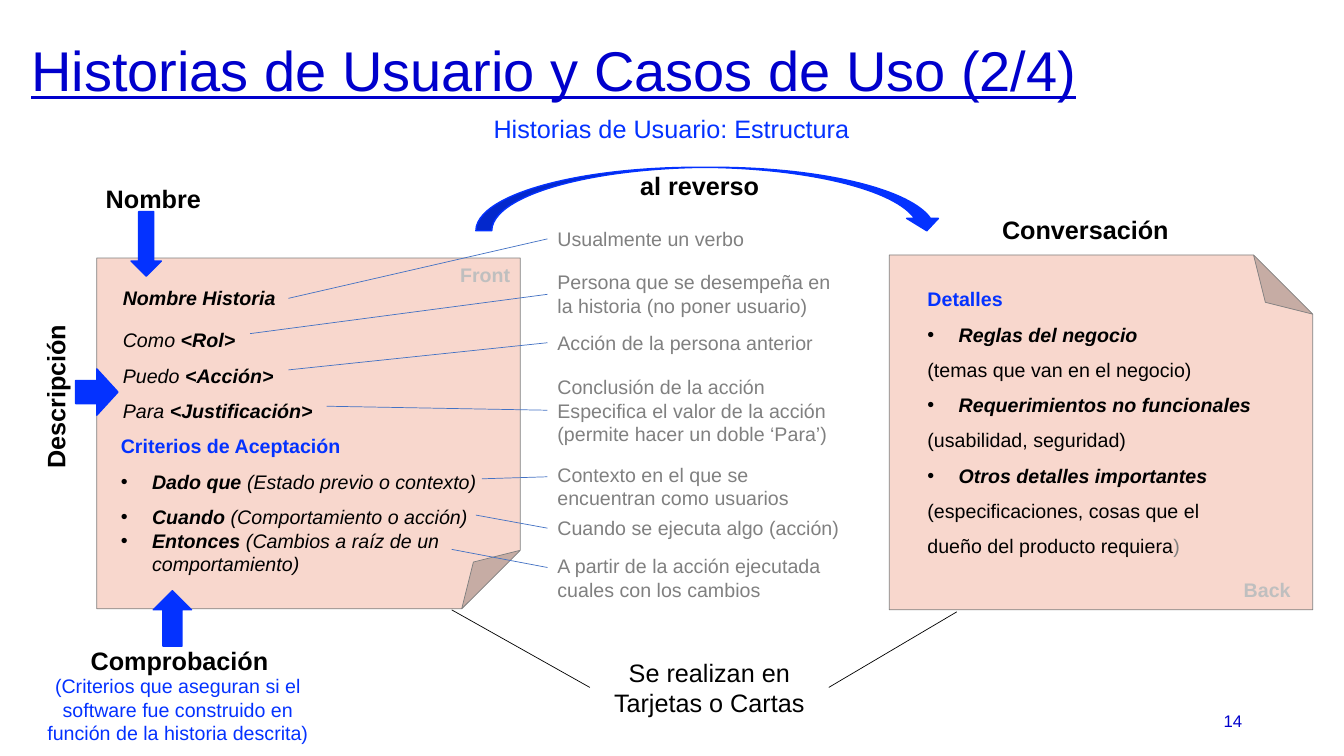
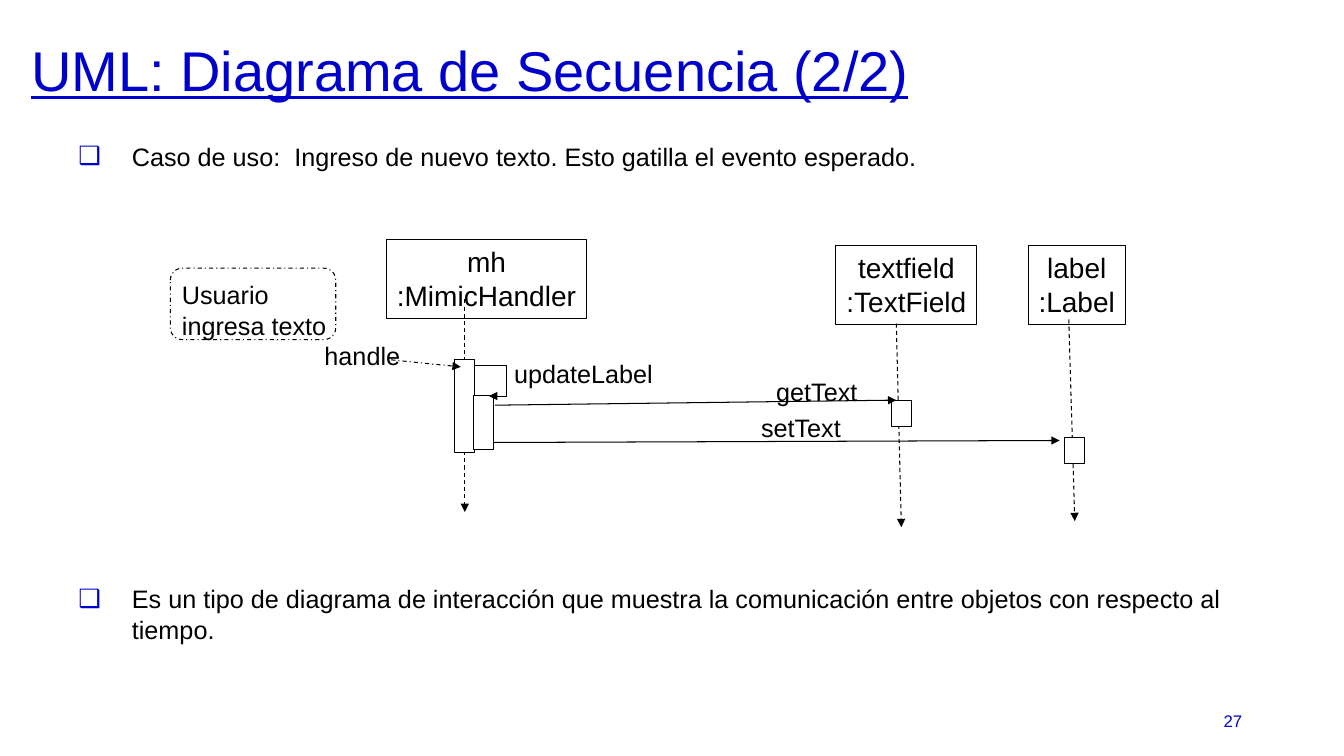
from typing import NamedTuple

from lxml import etree
from pptx import Presentation
from pptx.dml.color import RGBColor
from pptx.enum.dml import MSO_LINE as DASH
from pptx.enum.shapes import MSO_CONNECTOR as CONN, MSO_SHAPE as SHAPE
from pptx.enum.text import MSO_ANCHOR as ANCHOR, MSO_AUTO_SIZE as AUTO, PP_ALIGN as ALIGN
from pptx.oxml.ns import qn
from pptx.util import Inches, Pt

FONT = "Arial"
NAVY = RGBColor(0x00, 0x00, 0xCC)
BLUE = RGBColor(0x04, 0x32, 0xFF)
STEEL = RGBColor(0x44, 0x72, 0xC4)
PEACH = RGBColor(0xF8, 0xD7, 0xCD)
GRAY = RGBColor(0x80, 0x80, 0x80)
SILVER = RGBColor(0xBF, 0xBF, 0xBF)
BLACK = RGBColor(0x00, 0x00, 0x00)
WHITE = RGBColor(0xFF, 0xFF, 0xFF)


class Run(NamedTuple):
    """Text with style flags: b for bold, i for italic."""
    text: str
    flags: str = ""
    color: RGBColor = None


class Para(NamedTuple):
    """Runs of one paragraph with its spacing and bullet."""
    runs: list
    spacing: float = 1.0
    bullet: str = ""
    indent: float = 0.31
    bullet_color: RGBColor = None


class Deck:
    """Shared style and the slide being drawn."""

    def __init__(self):
        self.prs = Presentation()
        self.prs.slide_width = Inches(13.33)
        self.prs.slide_height = Inches(7.5)
        self.slide = None

    def new_slide(self, title, number):
        """Start a slide with its title and number."""
        self.slide = self.prs.slides.add_slide(self.prs.slide_layouts[5])
        s = self.slide.shapes.title
        self.place(s, (0.21, 0.25, 12.92, 0.95))
        self.fill_text(s.text_frame, [Para([Run(title)], 0.9)], 40, NAVY, anchor=ANCHOR.MIDDLE)
        s.text_frame.paragraphs[0].runs[0].font.underline = True
        self.text((9.42, 6.95, 3, 0.4), number, size=12, color=NAVY,
                  align=ALIGN.RIGHT, anchor=ANCHOR.MIDDLE)

    @staticmethod
    def place(s, box):
        """Move and size a shape."""
        s.left, s.top, s.width, s.height = map(Inches, box)

    @staticmethod
    def add_bullet(p, para):
        """Give a paragraph a hanging bullet."""
        pPr = p._p.get_or_add_pPr()
        pPr.set("marL", str(Inches(para.indent)))
        pPr.set("indent", str(-Inches(para.indent)))
        if para.bullet_color is not None:
            clr = etree.SubElement(pPr, qn("a:buClr"))
            etree.SubElement(clr, qn("a:srgbClr")).set("val", str(para.bullet_color))
        etree.SubElement(pPr, qn("a:buFont")).set("typeface", FONT)
        etree.SubElement(pPr, qn("a:buChar")).set("char", para.bullet)

    def fill_text(self, tf, paras, size=18, color=BLACK, flags="", align=ALIGN.LEFT,
                  anchor=ANCHOR.TOP, wrap=True, margins=(0.1, 0.05, 0.1, 0.05)):
        """Fill a text frame run by run."""
        tf.auto_size = AUTO.NONE
        tf.word_wrap = wrap
        tf.vertical_anchor = anchor
        tf.margin_left, tf.margin_top, tf.margin_right, tf.margin_bottom = map(Inches, margins)
        for i, para in enumerate(paras):
            if isinstance(para, str):
                para = Para([Run(para, flags)])
            p = tf.add_paragraph() if i else tf.paragraphs[0]
            if para.bullet:
                self.add_bullet(p, para)
            p.alignment = align
            p.line_spacing = para.spacing
            for run in para.runs:
                r = p.add_run()
                r.text = run.text
                r.font.name = FONT
                r.font.size = Pt(size)
                r.font.bold = "b" in run.flags
                r.font.italic = "i" in run.flags
                r.font.color.rgb = run.color or color

    def text(self, box, *paras, rotation=0, **style):
        """Add a text box."""
        s = self.slide.shapes.add_textbox(*map(Inches, box))
        s.rotation = rotation
        self.fill_text(s.text_frame, paras, **style)

    @staticmethod
    def paint(s, fill, line, width, dash=None):
        """Set fill and outline, without shadow."""
        s.shadow.inherit = False
        if fill is None:
            s.fill.background()
        else:
            s.fill.solid()
            s.fill.fore_color.rgb = fill
        s.line.color.rgb = line
        s.line.width = Pt(width)
        if dash:
            s.line.dash_style = dash

    def shape(self, kind, box, fill=None, line=BLACK, width=0.75, dash=None):
        """Add a preset shape."""
        s = self.slide.shapes.add_shape(kind, *map(Inches, box))
        self.paint(s, fill, line, width, dash)
        return s

    def block_arrow(self, kind, box):
        """Add a solid blue arrow."""
        return self.shape(kind, box, BLUE, BLUE, 1)

    def card(self, box):
        """Add a paper card with a folded corner."""
        return self.shape(SHAPE.FOLDED_CORNER, box, PEACH, GRAY, 0.5)

    @staticmethod
    def arrowhead(s):
        """Put a triangle at the end of a line."""
        etree.SubElement(s.line._get_or_add_ln(), qn("a:tailEnd")).set("type", "triangle")

    def line(self, start, end, color=BLACK, width=0.75, dash=None, arrow=False):
        """Add a straight line or arrow."""
        s = self.slide.shapes.add_connector(CONN.STRAIGHT, *map(Inches, start + end))
        s.line.color.rgb = color
        s.line.width = Pt(width)
        if dash:
            s.line.dash_style = dash
        if arrow:
            self.arrowhead(s)
        etree.SubElement(s._element.spPr, qn("a:effectLst"))

    def path_arrow(self, *points):
        """Add an open outline that ends in an arrowhead."""
        start, *rest = [tuple(map(Inches, point)) for point in points]
        builder = self.slide.shapes.build_freeform(*start)
        builder.add_line_segments(rest, close=False)
        s = builder.convert_to_shape()
        self.paint(s, None, BLACK, 0.75)
        self.arrowhead(s)


def draw_stories(deck):
    """Structure of a user story card."""
    deck.new_slide("Historias de Usuario y Casos de Uso (2/4)", "14")
    deck.text((3.11, 1.09, 7.1, 0.36), "Historias de Usuario: Estructura",
              color=BLUE, align=ALIGN.CENTER, anchor=ANCHOR.MIDDLE)

    deck.card((0.96, 2.56, 4.2, 3.48))
    back = deck.card((8.82, 2.53, 4.2, 3.52))
    back._element.spPr.xfrm.set("flipV", "1")
    for left, top, side in ((4.16, 2.56, "Front"), (11.9, 5.68, "Back")):
        deck.text((left, top, 1, 0.34), side, size=14, color=SILVER, flags="b", align=ALIGN.RIGHT)

    for box, heading in (
        ((0.95, 1.77, 1.42, 0.4), "Nombre"),
        ((0.8, 6.35, 2.05, 0.4), "Comprobación"),
        ((9.84, 2.08, 2.16, 0.4), "Conversación"),
        ((6.25, 1.64, 2.16, 0.4), "al reverso"),
    ):
        deck.text(box, heading, flags="b")
    deck.text((-0.4, 3.6, 1.9, 0.4), "Descripción", rotation=270, flags="b")

    deck.block_arrow(SHAPE.RIGHT_ARROW, (0.75, 3.66, 0.42, 0.46))
    deck.block_arrow(SHAPE.DOWN_ARROW, (1.3, 2.1, 0.3, 0.64))
    deck.block_arrow(SHAPE.UP_ARROW, (1.52, 5.86, 0.38, 0.55))
    turn = deck.block_arrow(SHAPE.CURVED_DOWN_ARROW, (4.72, 1.66, 4.63, 0.63))
    turn.adjustments[2] = 0.195

    deck.text((1.12, 2.79, 2.67, 0.34), "Nombre Historia", size=14, flags="bi")
    deck.text((1.12, 3.09, 2.17, 1.12), *[
        Para([Run(word + " ", "i"), Run(slot, "bi")], 1.5)
        for word, slot in (("Como", "<Rol>"), ("Puedo", "<Acción>"), ("Para", "<Justificación>"))
    ], size=14)
    criteria = (
        ("Dado que ", "(Estado previo o contexto)", 1.5),
        ("Cuando ", "(Comportamiento o acción)", 1.5),
        ("Entonces ", "(Cambios a raíz de un comportamiento)", 1.0),
    )
    deck.text((1.1, 4.26, 3.87, 1.51), Para([Run("Criterios de Aceptación", "b", BLUE)]), *[
        Para([Run(word, "bi"), Run(hint, "i")], spacing, "•") for word, hint, spacing in criteria
    ], size=14)

    details = [Para([Run("Detalles", "b", BLUE)])]
    for topic, *hint in (
        ("Reglas del negocio", Run("(temas que van en el negocio)")),
        ("Requerimientos no funcionales", Run("(usabilidad, seguridad)")),
        ("Otros detalles importantes",
         Run("(especificaciones, cosas que el dueño del producto requiera"), Run(")", "", GRAY)),
    ):
        details += [Para([Run(topic, "bi")], 1.5, "•"), Para(hint, 1.5)]
    deck.text((9.1, 2.8, 3.48, 2.77), *details, size=14)

    notes_left = 5.43
    for top, height, start, end_y, *note in (
        (2.2, 0.34, (2.86, 2.96), 2.37, "Usualmente un verbo"),
        (2.63, 0.57, (2.48, 3.31), 2.92,
         "Persona que se desempeña en la historia (no poner usuario)"),
        (3.23, 0.34, (2.86, 3.67), 3.4, "Acción de la persona anterior"),
        (3.67, 0.81, (3.24, 4.03), 4.07,
         "Conclusión de la acción Especifica el valor de la acción",
         "(permite hacer un doble ‘Para’)"),
        (4.54, 0.57, (4.78, 4.75), 4.73, "Contexto en el que se encuentran como usuarios"),
        (5.07, 0.34, (4.72, 5.11), 5.24, "Cuando se ejecuta algo (acción)"),
        (5.45, 0.57, (4.48, 5.45), 5.63,
         "A partir de la acción ejecutada cuales con los cambios"),
    ):
        deck.text((notes_left, top, 3.11, height), *note, size=14, color=GRAY)
        deck.line(start, (notes_left, end_y), STEEL, 0.5)

    deck.text((0.21, 6.64, 3.11, 0.81),
              "(Criterios que aseguran si el software fue construido en función de la historia descrita)",
              size=14, color=BLUE, align=ALIGN.CENTER)
    deck.text((5.85, 6.47, 2.37, 0.71), "Se realizan en Tarjetas o Cartas", align=ALIGN.CENTER)
    deck.line((5.85, 6.82), (4.48, 6.05), width=0.5)
    deck.line((8.22, 6.82), (9.49, 6.07), width=0.5)


def draw_sequence(deck):
    """Sequence diagram of the text input."""
    deck.new_slide("UML: Diagrama de Secuencia (2/2)", "27")
    for top, point in (
        (1.35, "Caso de uso:  Ingreso de nuevo texto. Esto gatilla el evento esperado."),
        (5.74, "Es un tipo de diagrama de interacción que muestra la comunicación "
               "entre objetos con respecto al tiempo."),
    ):
        deck.text((0.68, top, 12.08, 0.75), Para([Run(point)], 1.0, "❑", 0.53, NAVY))

    for left, top, width, name, kind in (
        (3.83, 2.38, 1.99, "mh", ":MimicHandler"),
        (8.29, 2.44, 1.4, "textfield", ":TextField"),
        (10.2, 2.44, 0.96, "label", ":Label"),
    ):
        s = deck.shape(SHAPE.RECTANGLE, (left, top, width, 0.78))
        deck.fill_text(s.text_frame, (name, kind), size=20, align=ALIGN.CENTER, wrap=False)

    for start, end in (
        ((4.61, 2.97), (4.61, 5.08)),
        ((8.89, 3.21), (8.94, 5.23)),
        ((10.6, 3.17), (10.66, 5.17)),
    ):
        deck.line(start, end, dash=DASH.DASH, arrow=True)

    for left, top, height in (
        (4.51, 3.57, 0.92), (4.7, 3.92, 0.54), (8.84, 3.97, 0.26), (10.56, 4.34, 0.26),
    ):
        deck.shape(SHAPE.RECTANGLE, (left, top, 0.2, height), WHITE)

    user = deck.shape(SHAPE.ROUNDED_RECTANGLE, (1.69, 2.66, 1.64, 0.71), dash=DASH.DASH_DOT)
    deck.fill_text(user.text_frame, ("Usuario", "ingresa texto"), margins=(0.08, 0.08, 0.04, 0.04))

    for left, top, width, message in (
        (3.12, 3.33, 0.96, "handle"),
        (5, 3.51, 1.59, "updateLabel"),
        (7.6, 3.68, 1.01, "getText"),
        (7.45, 4.04, 1, "setText"),
    ):
        deck.text((left, top, width, 0.41), message, wrap=False)
    deck.line((3.88, 3.57), (4.57, 3.64), dash=DASH.DASH_DOT, arrow=True)
    deck.line((4.91, 4.02), (8.89, 3.97), arrow=True)
    deck.line((4.9, 4.39), (10.51, 4.37), arrow=True)
    deck.path_arrow((4.71, 3.63), (5.02, 3.63), (5.02, 3.93), (4.85, 3.93))


def main():
    """Build and save the slides."""
    deck = Deck()
    draw_stories(deck)
    draw_sequence(deck)
    deck.prs.save("out.pptx")


if __name__ == "__main__":
    main()
